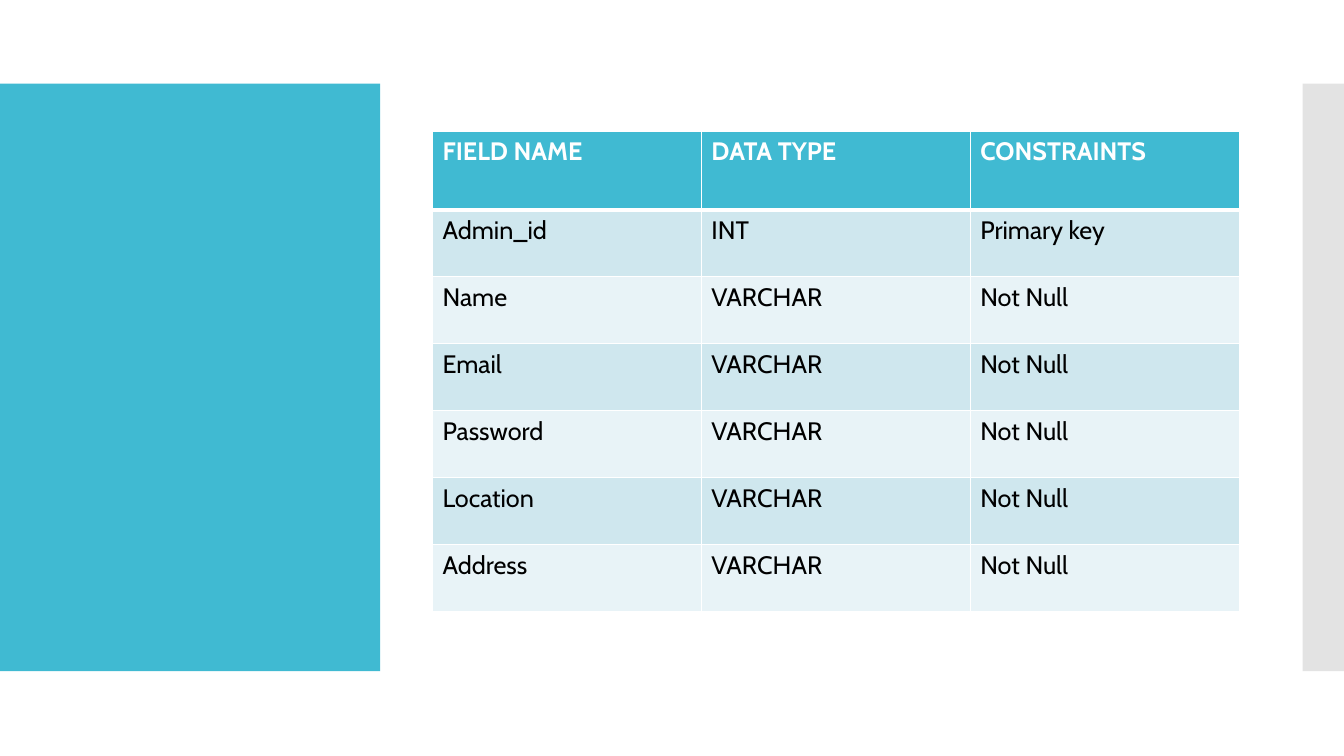
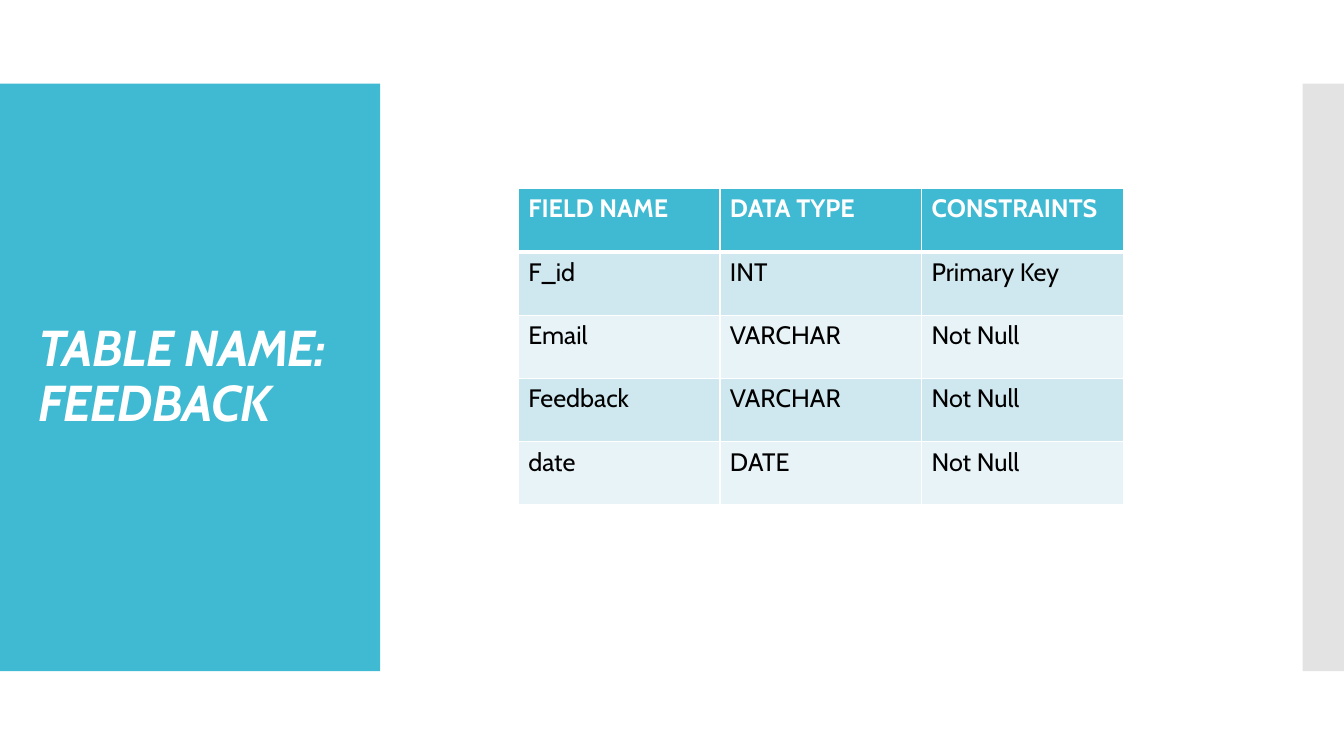
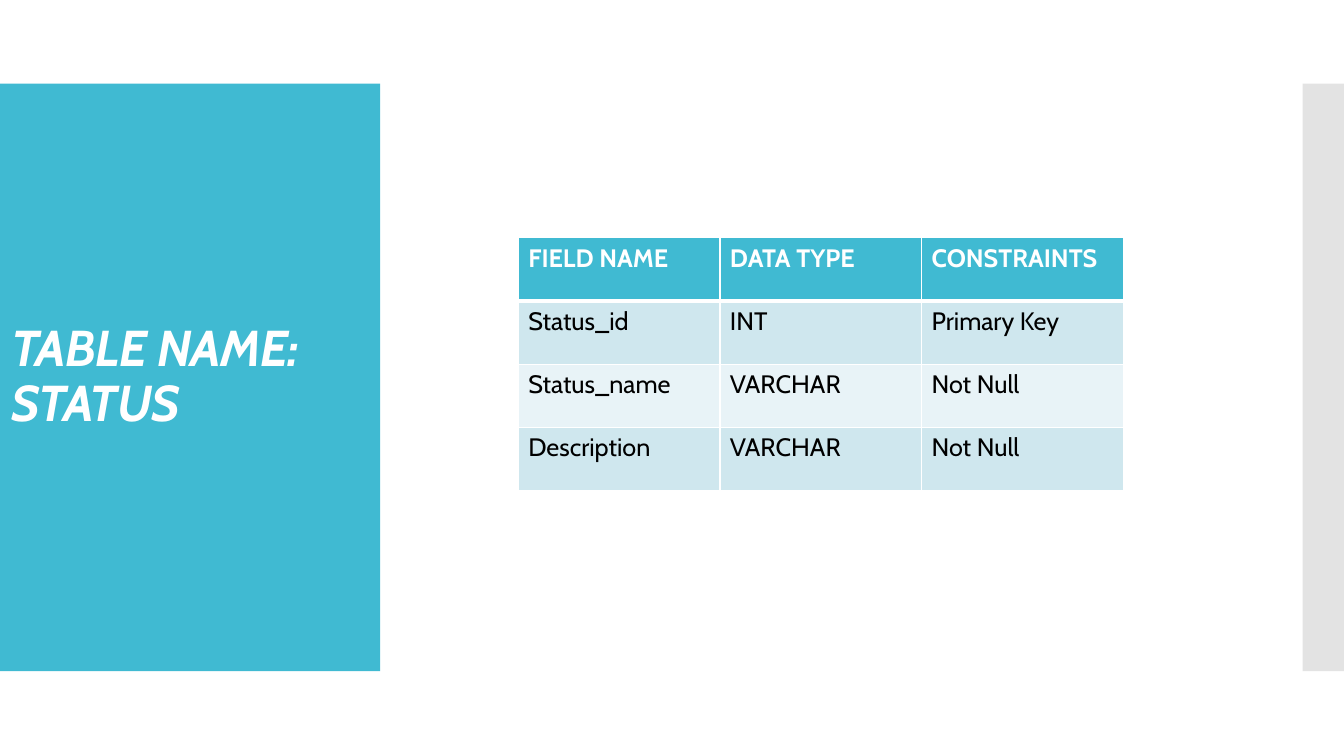
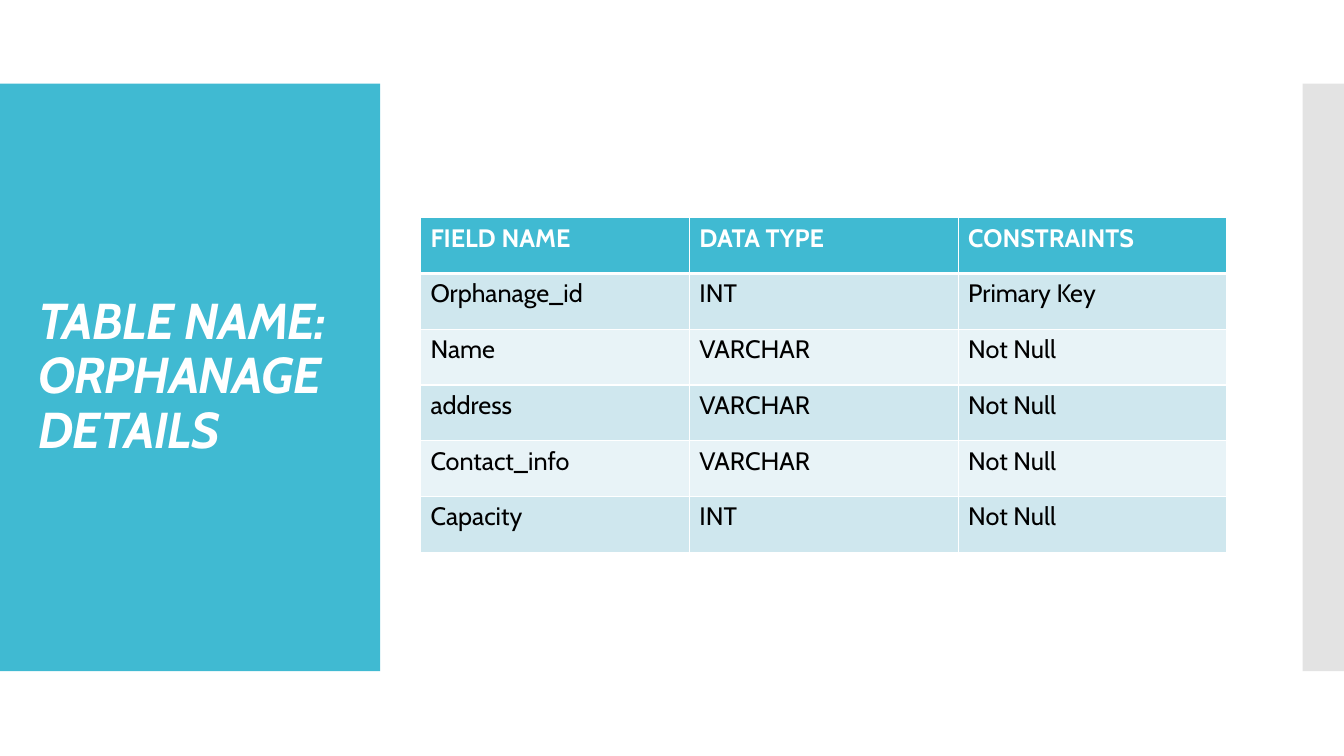
from dataclasses import dataclass

from pptx import Presentation
from pptx import util as u
from pptx.dml.color import RGBColor
from pptx.enum import shapes, text
from pptx.oxml import parse_xml
from pptx.oxml.ns import nsdecls, qn


@dataclass(frozen=True)
class Theme:
    accent: str = "40BAD2"
    edge: str = "C8C8C8"
    row_fills: tuple = ("CFE7EE", "E8F3F7")
    light: str = "FFFFFF"
    dark: str = "000000"
    font: str = "Cabin"
    title_size: int = 36
    table_size: int = 18
    rule: int = 1
    heavy_rule: int = 3


THEME = Theme()
TITLE_FONT = {"name": THEME.font, "size": u.Pt(THEME.title_size), "bold": True, "italic": True}
HEADER_FONT = {"name": THEME.font, "size": u.Pt(THEME.table_size), "bold": True}
BODY_FONT = {**HEADER_FONT, "bold": False}
TITLE_BOX = (0.28, 1.23, 3.22, 5.03)
HEADINGS = ("FIELD NAME", "DATA TYPE", "CONSTRAINTS")


def apply(target, formats):
    for attribute, value in formats.items():
        setattr(target, attribute, value)


def place(shape, box):
    apply(shape, dict(zip(("left", "top", "width", "height"), map(u.Inches, box))))


def style_font(font, formats, color):
    apply(font, formats)
    font.color.rgb = RGBColor.from_string(color)


def add_layout_band(slide, box, color, opacity=100):
    band = slide.shapes.add_shape(shapes.MSO_SHAPE.RECTANGLE, *map(u.Inches, box))
    band.shadow.inherit = False
    band.line.fill.background()
    band.fill.solid()
    band.fill.fore_color.rgb = RGBColor.from_string(color)
    if opacity < 100:
        fill_color = band.element.spPr.find(".//" + qn("a:srgbClr"))
        fill_color.append(parse_xml(f'<a:alpha {nsdecls("a")} val="{opacity * 1000}"/>'))
    slide.slide_layout.shapes.element.insert(2, band.element)


def set_title(slide, wording, box):
    title = slide.shapes.title
    if not wording:
        title.element.getparent().remove(title.element)
        return
    place(title, box)
    frame = title.text_frame
    frame.text = wording
    apply(frame, {
        "word_wrap": True,
        "auto_size": text.MSO_AUTO_SIZE.NONE,
        "vertical_anchor": text.MSO_ANCHOR.MIDDLE,
    })
    heading = frame.paragraphs[0]
    apply(heading, {"alignment": text.PP_ALIGN.LEFT, "line_spacing": 0.9})
    for run in heading.runs:
        style_font(run.font, TITLE_FONT, THEME.light)
        run.font._element.set("spc", "-60")


def set_borders(cell, top, bottom):
    widths = {"lnL": THEME.rule, "lnR": THEME.rule, "lnT": top, "lnB": bottom}
    for index, (side, width) in enumerate(widths.items()):
        cell._tc.get_or_add_tcPr().insert(index, parse_xml(
            f'<a:{side} {nsdecls("a")} w="{u.Pt(width)}"><a:solidFill>'
            f'<a:srgbClr val="{THEME.light}"/></a:solidFill></a:{side}>'))


def fill_cell(cell, wording, row):
    is_header = row == 0
    cell.text = wording
    run = cell.text_frame.paragraphs[0].runs[0]
    style_font(run.font, HEADER_FONT if is_header else BODY_FONT,
               THEME.light if is_header else THEME.dark)
    cell.fill.solid()
    fill = THEME.accent if is_header else THEME.row_fills[(row - 1) % 2]
    cell.fill.fore_color.rgb = RGBColor.from_string(fill)
    set_borders(cell,
                top=THEME.heavy_rule if row == 1 else THEME.rule,
                bottom=THEME.heavy_rule if is_header else THEME.rule)


def add_field_table(slide, fields, box, header_height=None):
    records = (HEADINGS, *fields)
    width, height = box[2:]
    header_height = header_height or height / len(records)
    row_height = (height - header_height) / len(fields)
    table = slide.shapes.add_table(len(records), len(HEADINGS), *map(u.Inches, box)).table
    for column in table.columns:
        column.width = u.Inches(width / len(HEADINGS))
    for row, record in enumerate(records):
        table.rows[row].height = u.Inches(row_height if row else header_height)
        for column, wording in enumerate(record):
            fill_cell(table.cell(row, column), wording, row)


def varchar_fields(*names):
    return [(name, "VARCHAR", "Not Null") for name in names]


def main():
    deck = Presentation()
    apply(deck, {"slide_width": u.Inches(13.33), "slide_height": u.Inches(7.5)})
    layout = deck.slide_layouts.get_by_name("Title Only")

    def add_schema_slide(title, fields, box, title_box=TITLE_BOX, header_height=None):
        slide = deck.slides.add_slide(layout)
        set_title(slide, title, title_box)
        add_field_table(slide, fields, box, header_height)
        return slide

    admin = add_schema_slide(
        None,
        [("Admin_id", "INT", "Primary key"),
         *varchar_fields("Name", "Email", "Password", "Location", "Address")],
        (4.29, 1.3, 8, 4.77), header_height=0.78)
    add_layout_band(admin, (0, 0.83, 3.77, 5.83), THEME.accent)
    add_layout_band(admin, (12.92, 0.83, 0.42, 5.83), THEME.edge, opacity=50)

    add_schema_slide(
        "TABLE NAME:\vFEEDBACK",
        [("F_id", "INT", "Primary Key"),
         *varchar_fields("Email", "Feedback"),
         ("date", "DATE", "Not Null")],
        (5.14, 1.87, 6, 3.14))
    add_schema_slide(
        "TABLE NAME: STATUS",
        [("Status_id", "INT", "Primary Key"),
         *varchar_fields("Status_name", "Description")],
        (5.14, 2.36, 6, 2.51), title_box=(0.01, 1.23, 3.68, 5.03))
    add_schema_slide(
        "TABLE NAME:\vORPHANAGE\vDETAILS",
        [("Orphanage_id", "INT", "Primary Key"),
         *varchar_fields("Name", "address", "Contact_info"),
         ("Capacity", "INT", "Not Null")],
        (4.17, 2.16, 8, 3.32))
    deck.save("out.pptx")


if __name__ == "__main__":
    main()
